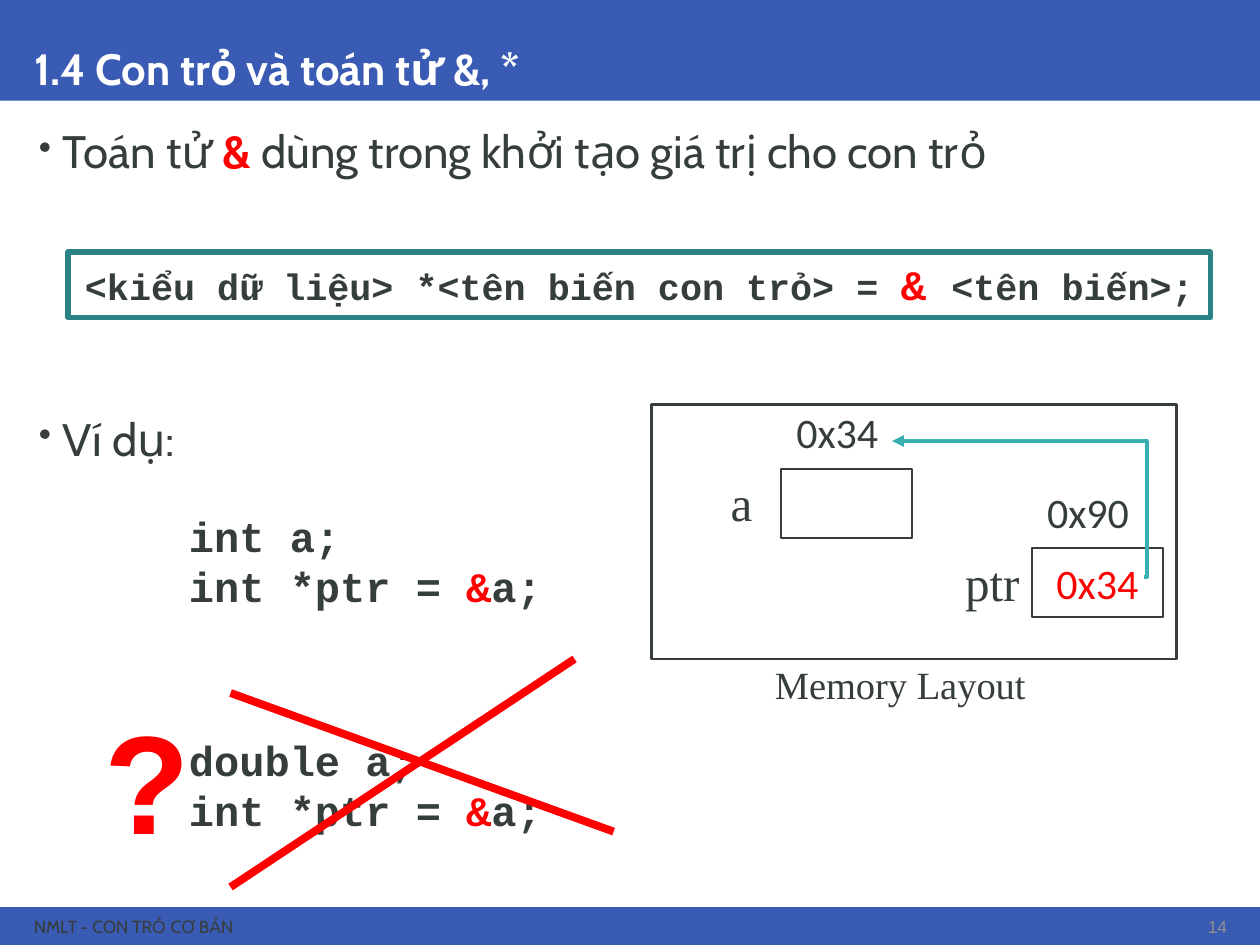
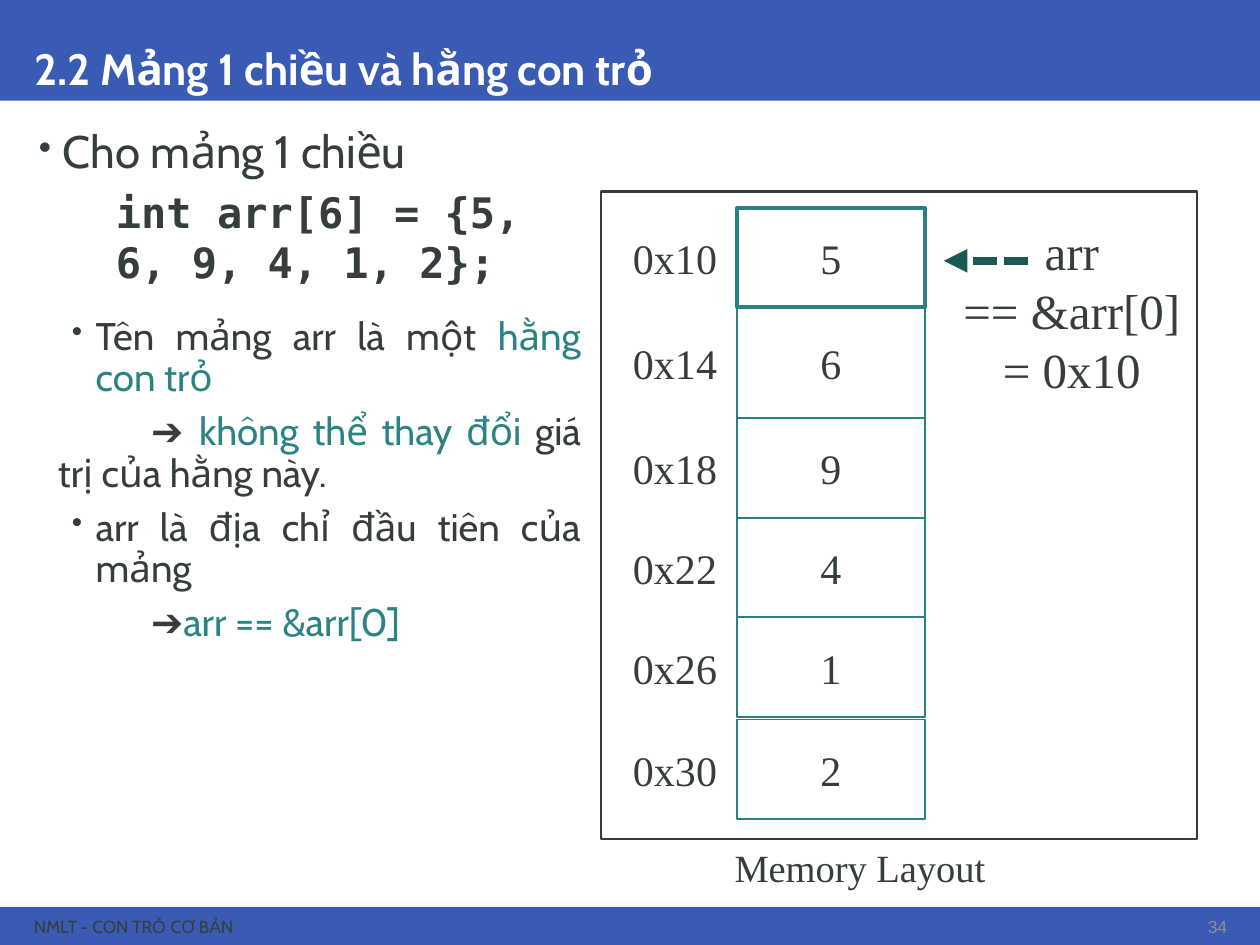
from typing import NamedTuple

from lxml import etree
from pptx import Presentation
from pptx.dml.color import RGBColor
from pptx.enum.dml import MSO_LINE
from pptx.enum.shapes import MSO_CONNECTOR, MSO_SHAPE
from pptx.enum.text import MSO_ANCHOR, MSO_AUTO_SIZE, PP_ALIGN
from pptx.oxml.ns import qn
from pptx.util import Inches, Pt

RECTANGLE = MSO_SHAPE.RECTANGLE
STRAIGHT = MSO_CONNECTOR.STRAIGHT
SHORT_DASH = MSO_LINE.SQUARE_DOT
TOP, MIDDLE, BOTTOM = MSO_ANCHOR.TOP, MSO_ANCHOR.MIDDLE, MSO_ANCHOR.BOTTOM
LEFT, CENTER = PP_ALIGN.LEFT, PP_ALIGN.CENTER
RIGHT, JUSTIFY = PP_ALIGN.RIGHT, PP_ALIGN.JUSTIFY

COLORS = {
    "band": "3A5BB3", "ink": "363D3D", "white": "FFFFFF", "red": "FF0000",
    "gray": "8E8F8F", "teal": "2C8386", "cell": "2A8082",
    "arrow": "3AAFB2", "pointer": "1D5859",
}
BODY, SERIF, CODE, ADDRESS = "Cabin", "Times New Roman", "Courier New", "Calibri"

# The slide is a grid of 100 columns and 75 rows.
SLIDE_WIDTH, SLIDE_HEIGHT = Inches(10), Inches(7.5)
COLUMN, ROW = SLIDE_WIDTH / 100, SLIDE_HEIGHT / 75
INSET = Inches(0.05)


class Box(NamedTuple):
    """A region in columns and rows of the slide grid."""
    left: float
    top: float
    width: float
    height: float

    def area(self, x, y, width, height):
        return Box(self.left + x, self.top + y, width, height)

    def point(self, x, y):
        return round((self.left + x) * COLUMN), round((self.top + y) * ROW)

    def emu(self):
        return (*self.point(0, 0), round(self.width * COLUMN), round(self.height * ROW))


PAGE = Box(0, 0, 100, 75)


def rgb(name):
    return RGBColor.from_string(COLORS[name])


def set_font(font, name=None, size=None, color=None, bold=None):
    if name:
        font.name = name
    if size:
        font.size = Pt(size)
    if color:
        font.color.rgb = rgb(color)
    if bold is not None:
        font.bold = bold


def write_runs(paragraph, runs):
    """Add runs, each a string or a pair of a string and its own font settings."""
    for run in [runs] if isinstance(runs, str) else runs:
        text, own_font = (run, {}) if isinstance(run, str) else run
        piece = paragraph.add_run()
        piece.text = text
        set_font(piece.font, **own_font)


def prepare_frame(shape, anchor):
    frame = shape.text_frame
    frame.word_wrap = True
    frame.auto_size = MSO_AUTO_SIZE.NONE
    frame.vertical_anchor = anchor
    frame.margin_left = frame.margin_right = INSET
    frame.margin_top = frame.margin_bottom = INSET
    return frame


def write(shape, lines, font, size, color="ink", bold=False, align=LEFT,
          anchor=TOP, spacing=None):
    frame = prepare_frame(shape, anchor)
    for index, runs in enumerate(lines):
        paragraph = frame.add_paragraph() if index else frame.paragraphs[0]
        paragraph.alignment = align
        if spacing:
            paragraph.line_spacing = spacing
        set_font(paragraph.font, font, size, color, bold)
        write_runs(paragraph, runs)


def add_text(slide, box, lines, font, size, **style):
    write(slide.shapes.add_textbox(*box.emu()), lines, font, size, **style)


def add_rectangle(slide, box, fill=None, line=None, weight=1):
    shape = slide.shapes.add_shape(RECTANGLE, *box.emu())
    shape.shadow.inherit = False
    if fill:
        shape.fill.solid()
        shape.fill.fore_color.rgb = rgb(fill)
    else:
        shape.fill.background()
    if line:
        shape.line.color.rgb = rgb(line)
        shape.line.width = Pt(weight)
    else:
        shape.line.fill.background()
    return shape


def add_line(slide, start, end, color, weight):
    line = slide.shapes.add_connector(STRAIGHT, *start, *end)
    line.line.color.rgb = rgb(color)
    line.line.width = Pt(weight)
    etree.SubElement(line._element.spPr, qn("a:effectLst"))
    return line


def add_arrowhead(shape):
    outline = shape._element.spPr.find(qn("a:ln"))
    etree.SubElement(outline, qn("a:tailEnd"), type="triangle")


def add_body(slide, box, items, align=LEFT):
    """Items are (runs, size, left margin, first indent, has bullet, space before)."""
    frame = prepare_frame(slide.shapes.add_textbox(*box.emu()), TOP)
    for index, (runs, size, margin, indent, has_bullet, before) in enumerate(items):
        paragraph = frame.add_paragraph() if index else frame.paragraphs[0]
        properties = paragraph._p.get_or_add_pPr()
        properties.set("marL", str(Inches(margin)))
        properties.set("indent", str(Inches(indent)))
        if has_bullet:
            etree.SubElement(properties, qn("a:buSzPct"), val="80000")
            etree.SubElement(properties, qn("a:buChar"), char="•")
        paragraph.alignment = align
        paragraph.line_spacing = 0.9
        if before:
            paragraph.space_before = Pt(before)
        set_font(paragraph.font, BODY, size, "ink")
        write_runs(paragraph, runs)


def main_point(runs, before=0):
    return runs, 26, 0.23, -0.19, True, before


def sub_point(runs, before=7):
    return runs, 22, 0.49, -0.19, True, before


def conclusion(runs):
    return runs, 22, 0.19, 0.74, False, 7


def add_page(deck, title, number):
    slide = deck.slides.add_slide(deck.slide_layouts[5])
    add_rectangle(slide, PAGE.area(0, 0, 100, 8), "band")
    add_rectangle(slide, PAGE.area(0, 72, 100, 3), "band")
    heading = slide.shapes.title
    slide.shapes._spTree.append(heading._element)  # in front of the band
    heading.left, heading.top, heading.width, heading.height = PAGE.area(
        2.2, 0, 95.7, 8).emu()
    write(heading, [title], BODY, 25, color="white", bold=True, anchor=BOTTOM, spacing=0.9)
    arial = {"name": "Arial"}
    footer = ["NMLT - CON TR", ("Ỏ ", arial), "CƠ B", ("Ả", arial), "N"]
    add_text(slide, PAGE.area(2.2, 72.2, 82.6, 2.7), [footer], BODY, 10, anchor=MIDDLE)
    add_text(slide, PAGE.area(95.2, 72.3, 2.7, 2.5), [str(number)], "Arial", 10,
             color="gray", align=RIGHT, anchor=MIDDLE)
    return slide


def add_declaration(slide, box, declared):
    pointer_init = ["int *ptr = ", ("&", {"color": "red"}), "a;"]
    add_text(slide, box, [declared, pointer_init], CODE, 24, bold=True)


def add_wrong_example(slide, box):
    add_declaration(slide, box.area(6.7, 3.2, 30.4, 8.5), "double a;")
    for start, end in [((10.5, 0.4), (40.9, 11.4)), ((37.8, -2.3), (10.5, 15.8))]:
        add_line(slide, box.point(*start), box.point(*end), "red", 4.5)
    add_text(slide, box.area(0, 0, 7.9, 13.4), ["?"], "Arial", 80, color="red", bold=True)


def add_variable(slide, box, name, address, value=None):
    cell = add_rectangle(slide, box, "white", "ink")
    if value:
        write(cell, [value], ADDRESS, 24, color="red", align=CENTER, anchor=MIDDLE)
    add_text(slide, box.area(-8.6, 0, 10.9, 5.3), [name], SERIF, 28,
             align=CENTER, anchor=MIDDLE)
    add_text(slide, box.area(-1, -5.4, 10.9, 5), [address], ADDRESS, 24,
             align=CENTER, anchor=MIDDLE)


def add_pointer_memory(slide, box):
    add_rectangle(slide, box, "white", "ink", 1.5)
    add_variable(slide, box.area(30.2, 11.4, 10.4, 5.5), "ptr", "0x90", "0x34")
    add_variable(slide, box.area(10.3, 5.1, 10.4, 5.5), "a", "0x34")
    add_text(slide, box.area(9.3, 19.9, 34.2, 4.5), ["Memory Layout"], SERIF, 22)
    start, *bends = [box.point(x, y) for x, y in
                     [(39.1, 13.7), (39.3, 13.7), (39.3, 2.9), (19.1, 2.9)]]
    builder = slide.shapes.build_freeform(*start)
    builder.add_line_segments(bends, close=False)
    reference = builder.convert_to_shape()
    reference.shadow.inherit = False
    reference.fill.background()
    reference.line.color.rgb = rgb("arrow")
    reference.line.width = Pt(2.25)
    add_arrowhead(reference)


def add_array_memory(slide, box):
    # address, value, cell height, gap below
    cells = [("0x10", "5", 7.9, 0), ("0x14", "6", 8.8, 0), ("0x18", "9", 7.9, 0),
             ("0x22", "4", 7.9, 0), ("0x26", "1", 7.9, 0.2), ("0x30", "2", 7.9, 0)]
    add_rectangle(slide, box, line="ink", weight=1.5)
    top = 1.3
    for index, (address, value, height, gap) in enumerate(cells):
        cell = add_rectangle(slide, box.area(10.8, top, 14.9, height), line="cell",
                             weight=1 if index else 2.25)
        write(cell, [value], SERIF, 24, align=CENTER, anchor=MIDDLE)
        add_text(slide, box.area(-5.2, top, 14.9, height), [address], SERIF, 24,
                 align=RIGHT, anchor=MIDDLE)
        top += height + gap
    pointer = add_line(slide, box.point(33.9, 5.5), box.point(27.2, 5.5), "pointer", 4.5)
    pointer.line.dash_style = SHORT_DASH
    add_arrowhead(pointer)
    add_text(slide, box.area(27.2, 2.3, 21.3, 14.2), ["arr ", "== &arr[0] ", "= 0x10 "],
             SERIF, 28, align=CENTER, anchor=MIDDLE)
    add_text(slide, box.area(10.1, 51.3, 21.8, 4.5), ["Memory Layout"], SERIF, 22)


def add_address_operator_slide(deck):
    slide = add_page(deck, "1.4 Con trỏ và toán tử &, *", 14)
    add_body(slide, PAGE.area(2.2, 9.8, 95.7, 60.5), [
        main_point(["Toán tử ", ("&", {"color": "red", "bold": True}),
                    " dùng trong khởi tạo giá trị cho con trỏ"]),
        main_point("Ví dụ:", before=136),
    ])
    syntax = add_rectangle(slide, PAGE.area(5.4, 20, 90.7, 5.2), line="teal", weight=3)
    write(syntax, [["<kiểu dữ liệu> *<tên biến con trỏ> = ",
                    ("& ", {"size": 24, "color": "red"}), "<tên biến>;"]],
          CODE, 21, bold=True, align=CENTER)
    add_declaration(slide, PAGE.area(14.5, 40, 30.4, 8.5), "int a;")
    add_wrong_example(slide, PAGE.area(7.8, 54.6, 40.9, 15.8))
    add_pointer_memory(slide, PAGE.area(51.7, 32.1, 41.7, 20.2))


def add_array_slide(deck):
    slide = add_page(deck, "2.2 Mảng 1 chiều và hằng con trỏ", 34)
    teal, arrow = {"color": "teal"}, {"name": "Arial"}
    add_body(slide, PAGE.area(2.2, 9.8, 44.4, 60.5), [
        main_point("Cho mảng 1 chiều"),
        sub_point(["Tên mảng arr là một ", ("hằng con trỏ", teal)], before=79),
        conclusion([("➔ ", arrow), ("không thể thay đổi", teal), " giá trị của hằng này."]),
        sub_point("arr là địa chỉ đầu tiên của mảng"),
        conclusion([("➔", arrow), ("arr == &arr[0]", teal)]),
    ], align=JUSTIFY)
    add_text(slide, PAGE.area(8.7, 14.3, 34.8, 8.2), ["int arr[6] = {5, 6, 9, 4, 1, 2};"],
             "DejaVu Sans Mono", 24, bold=True)
    add_array_memory(slide, PAGE.area(47.7, 15.2, 47.3, 51.4))


def main():
    deck = Presentation()
    deck.slide_width, deck.slide_height = SLIDE_WIDTH, SLIDE_HEIGHT
    add_address_operator_slide(deck)
    add_array_slide(deck)
    deck.save("out.pptx")


if __name__ == "__main__":
    main()
